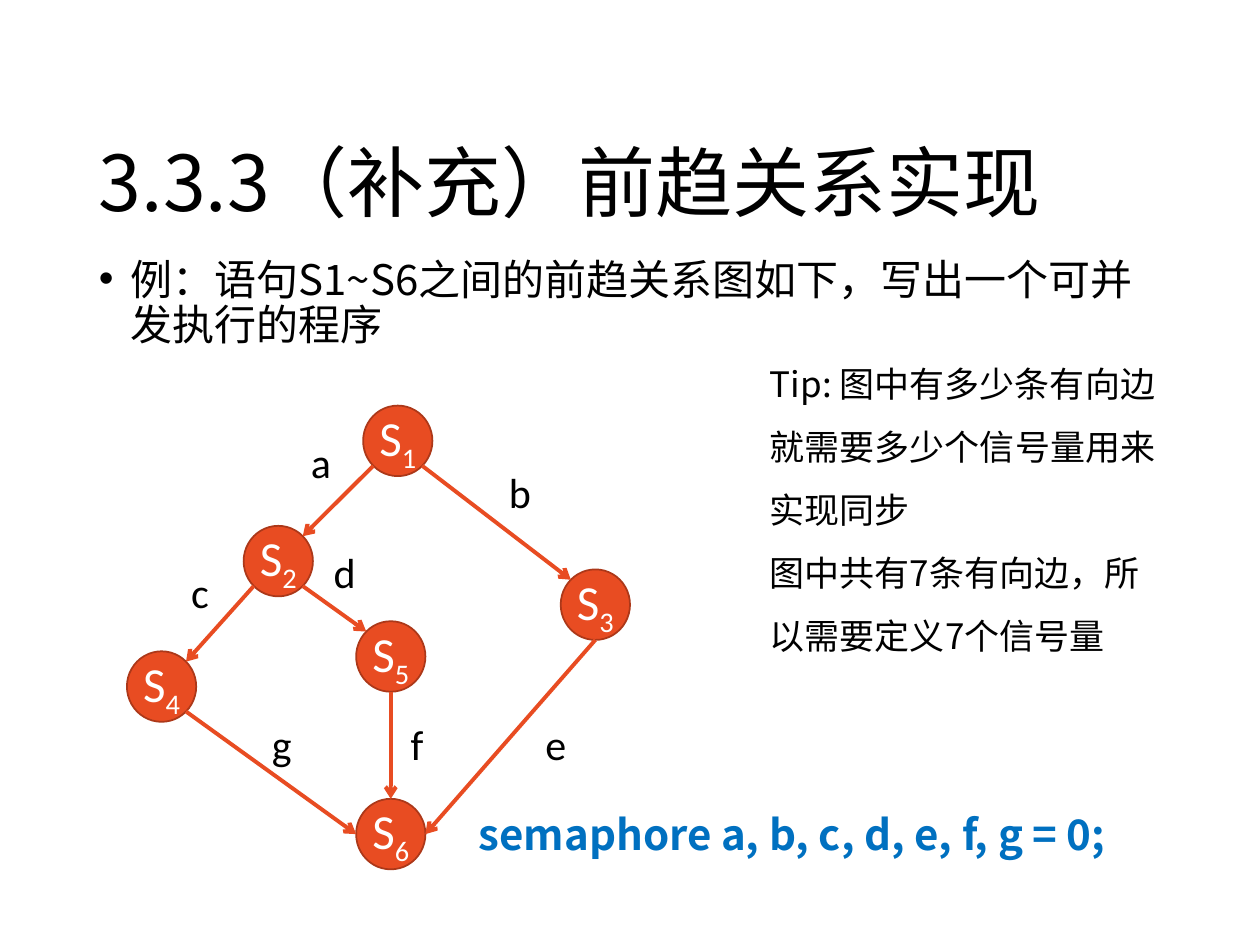
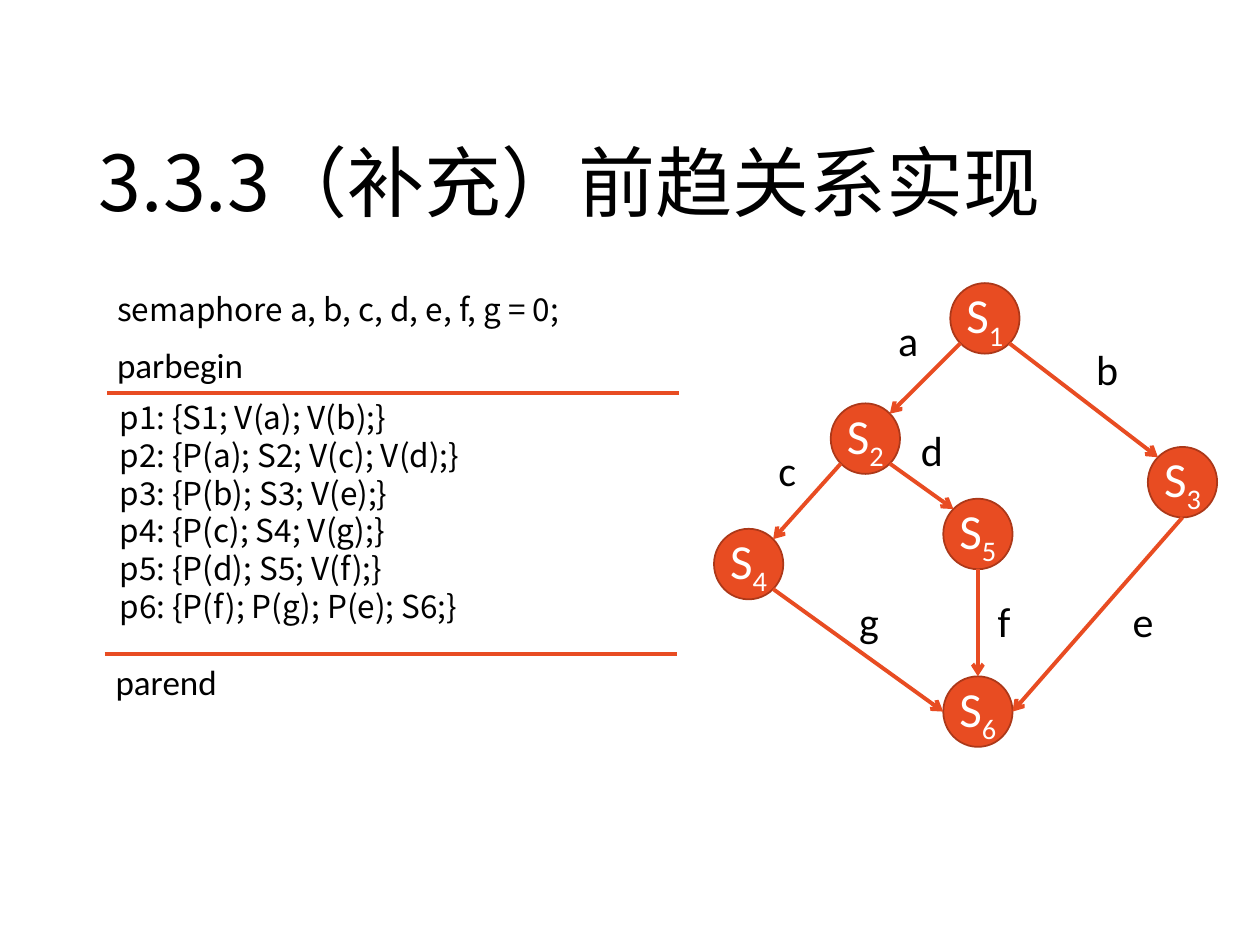
from dataclasses import dataclass
from math import cos, radians, sin

from lxml.etree import SubElement
from pptx import Presentation
from pptx.dml.color import RGBColor
from pptx.enum.shapes import MSO_CONNECTOR, MSO_SHAPE
from pptx.enum.text import MSO_ANCHOR, PP_ALIGN
from pptx.oxml.ns import qn
from pptx.util import Pt


@dataclass(frozen=True)
class Theme:
    cjk: str = "Noto Sans CJK SC"
    latin: str = "Calibri"
    ink: str = "000000"
    paper: str = "FFFFFF"
    accent: str = "E84C22"
    edge: str = "AC3819"
    blue: str = "0070C0"
    title: int = 44
    node: int = 28
    body: int = 24
    tip: int = 20
    code: int = 18
    stroke: float = 2.25
    lead: float = 1.2  # line height of CJK text per point of size


THEME = Theme()
TITLE = "3.3.3（补充）前趋关系实现"
VARS = "semaphore a, b, c, d, e, f, g = 0;"
TIPS = ["Tip: 图中有多少条有向边就需要多少个信号量用来实现同步",
        "图中共有7条有向边，所以需要定义7个信号量"]
CODE = ["p1: {S1; V(a); V(b);}",
        "p2: {P(a); S2; V(c); V(d);}",
        "p3: {P(b); S3; V(e);}",
        "p4: {P(c); S4; V(g);}",
        "p5: {P(d); S5; V(f);}",
        "p6: {P(f); P(g); P(e); S6;}"]

WIDE, HIGH = 39.6, 40.3
NODES = {"1": (207.5, 231.8), "2": (139.2, 300.5), "3": (320.4, 325.4),
         "4": (72.5, 372.2), "6": (203.5, 456.5), "5": (203.5, 355)}
# Connection sites of an ellipse run counter-clockwise from the top.
TOP, UP_LEFT, LEFT, LOW_LEFT, LOW, LOW_RIGHT, RIGHT, UP_RIGHT = range(8)
EDGES = [("1", LOW_RIGHT, "3", UP_LEFT), ("2", LOW_RIGHT, "5", UP_LEFT),
         ("4", LOW_RIGHT, "6", LEFT), ("1", LOW_LEFT, "2", UP_RIGHT),
         ("2", LOW_LEFT, "4", UP_RIGHT), ("5", LOW, "6", TOP),
         ("3", LOW, "6", RIGHT)]
LABELS = {"a": (170.6, 246.2), "b": (283.7, 262.8), "e": (304.6, 406.8),
          "c": (102.2, 320.4), "d": (183.6, 308.9), "f": (227.5, 406.8),
          "g": (148.3, 406.8)}


def color(code):
    return RGBColor.from_string(code)


def style(run, size, font, ink, bold):
    run.font.size = Pt(size)
    run.font.bold = bold
    run.font.color.rgb = color(ink)
    run.font.name = font
    SubElement(run.font._element, qn("a:ea"), typeface=font)


def text(tree, box, lines, size=THEME.body, font=THEME.cjk, ink=THEME.ink,
         bold=False, space=1, wrap=True, anchor=MSO_ANCHOR.TOP, align=None,
         inset=None, bullet=False, sub=None, fill=None, edge=None,
         kind=MSO_SHAPE.RECTANGLE):
    """Put lines in a text box, or in a preset shape if a fill is given."""
    place = [Pt(n) for n in box]
    if fill:
        shape = tree.add_shape(kind, *place)
        shape.shadow.inherit = False
        shape.fill.solid()
        shape.fill.fore_color.rgb = color(fill)
        if edge:
            shape.line.color.rgb = color(edge)
            shape.line.width = Pt(1)
        else:
            shape.line.fill.background()
    else:
        shape = tree.add_textbox(*place)
    frame = shape.text_frame
    frame.word_wrap = wrap
    frame.vertical_anchor = anchor
    if inset is not None:
        frame.margin_left = frame.margin_right = Pt(inset)
        frame.margin_top = frame.margin_bottom = Pt(inset)
    for i, words in enumerate(lines):
        para = frame.add_paragraph() if i else frame.paragraphs[0]
        para.alignment = align or PP_ALIGN.LEFT
        if font == THEME.cjk:
            para.line_spacing = Pt(round(size * THEME.lead * space, 1))
        if bullet:
            props = para._p.get_or_add_pPr()
            props.set("marL", str(Pt(18)))
            props.set("indent", str(Pt(-18)))
            SubElement(props, qn("a:buFont"), typeface="Arial")
            SubElement(props, qn("a:buChar"), char="•")
        for part in filter(None, (words, sub)):
            run = para.add_run()
            run.text = part
            style(run, size, font, ink, bold)
            if part is sub:
                run.font._element.set("baseline", "-25000")
    return shape


def line(tree, start, end, arrow=False):
    link = tree.add_connector(MSO_CONNECTOR.STRAIGHT,
                              *(Pt(n) for n in (*start, *end)))
    link.line.color.rgb = color(THEME.accent)
    link.line.width = Pt(THEME.stroke)
    if arrow:
        SubElement(link.line._get_or_add_ln(), qn("a:tailEnd"), type="arrow")
    SubElement(link._element.spPr, qn("a:effectLst"))
    return link


def site(spot, index):
    """Point on a node's rim at a connection site."""
    turn = radians(90 + 45 * index)
    return (spot[0] + WIDE / 2 * (1 + cos(turn)),
            spot[1] + HIGH / 2 * (1 - sin(turn)))


def graph(slide, dx=0, dy=0):
    tree = slide.shapes.add_group_shape().shapes
    spots = {key: (x + dx, y + dy) for key, (x, y) in NODES.items()}
    balls = {key: text(tree, (*spot, WIDE, HIGH), ["S"], sub=key,
                       size=THEME.node, font=THEME.latin, ink=THEME.paper,
                       fill=THEME.accent, edge=THEME.edge, inset=0,
                       kind=MSO_SHAPE.OVAL, anchor=MSO_ANCHOR.MIDDLE,
                       align=PP_ALIGN.CENTER)
             for key, spot in spots.items()}
    for src, out, dst, into in EDGES:
        link = line(tree, site(spots[src], out), site(spots[dst], into), True)
        props = link._element.nvCxnSpPr.cNvCxnSpPr
        for tag, key, index in (("a:stCxn", src, out), ("a:endCxn", dst, into)):
            SubElement(props, qn(tag), id=str(balls[key].shape_id),
                       idx=str(index))
    for name, (x, y) in LABELS.items():
        text(tree, (x + dx, y + dy, 27, 36), [name], font=THEME.latin,
             wrap=False)


def page(deck):
    slide = deck.slides.add_slide(deck.slide_layouts[6])
    text(slide.shapes, (49.5, 28.8, 621, 104.4), [TITLE], size=THEME.title,
         space=0.9, anchor=MSO_ANCHOR.BOTTOM)
    return slide


def task(deck):
    slide = page(deck)
    text(slide.shapes, (49.5, 144, 621, 342.7),
         ["例：语句S1~S6之间的前趋关系图如下，写出一个可并发执行的程序"],
         space=0.9, bullet=True)
    graph(slide)
    text(slide.shapes, (432.7, 191.5, 238.3, 189.4), TIPS, size=THEME.tip,
         space=1.5)
    text(slide.shapes, (266.4, 458.6, 414, 36.7), [VARS], ink=THEME.blue,
         bold=True, fill=THEME.paper)


def answer(deck):
    slide = page(deck)
    tree = slide.shapes.add_group_shape().shapes
    text(tree, (61.2, 223.9, 327.6, 149.8), CODE, size=THEME.code,
         fill=THEME.paper)
    for x, y in ((61.2, 224.6), (59.8, 373.7)):
        line(tree, (x, y), (x + 326.9, y))
    text(tree, (59.8, 162, 327.6, 36.7), [VARS], size=THEME.code,
         fill=THEME.paper)
    for word, x, y in (("parbegin", 59.8, 193), ("parend", 59, 373.7)):
        text(tree, (x, y, 314.6, 31.7), [word], size=THEME.tip,
             font=THEME.latin)
    graph(slide, 335.5, -70)


def main():
    deck = Presentation()
    deck.slide_width, deck.slide_height = Pt(720), Pt(540)
    task(deck)
    answer(deck)
    deck.save("out.pptx")


if __name__ == "__main__":
    main()
